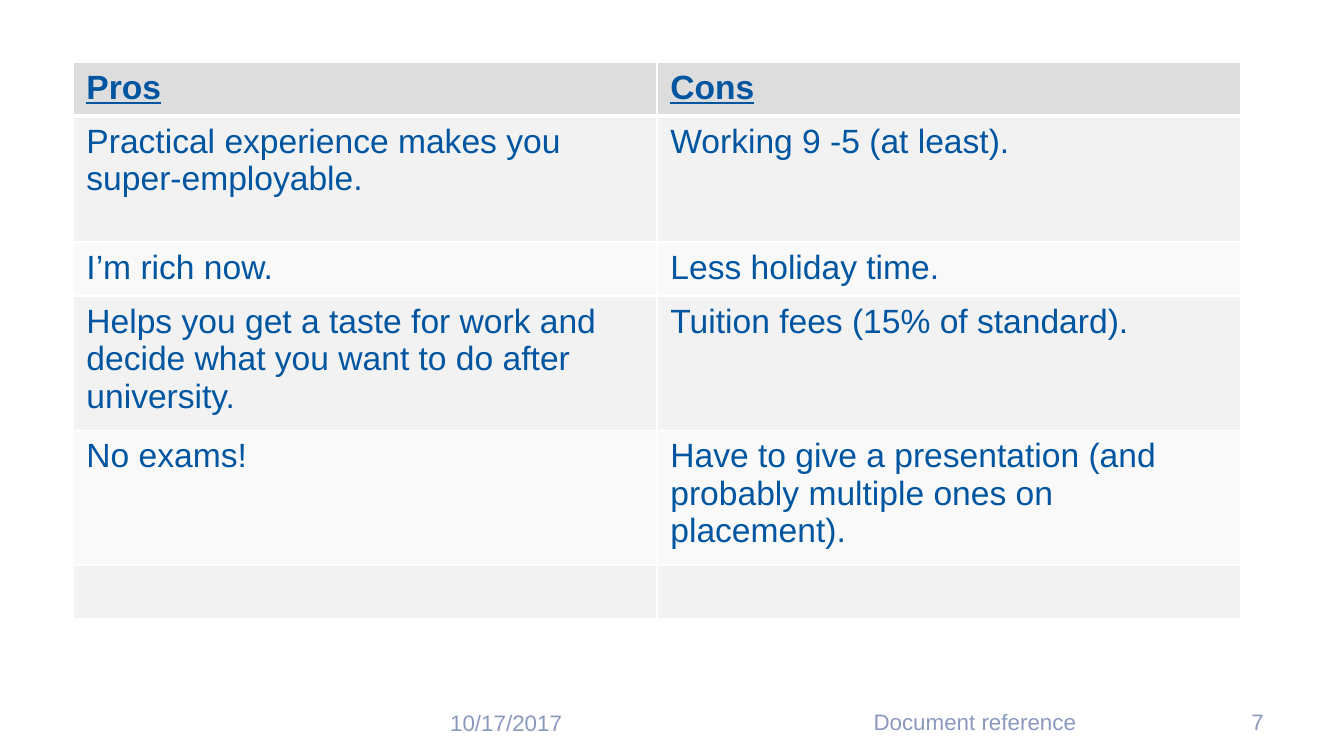
from lxml import etree
from pptx import Presentation
from pptx.dml.color import RGBColor
from pptx.enum.text import MSO_ANCHOR, PP_ALIGN
from pptx.oxml.ns import qn
from pptx.util import Emu, Pt

EMU_PER_PX = 6804
FONT = "Arial"
BLUE = RGBColor(0x00, 0x55, 0xA0)
MUTED_BLUE = RGBColor(0x8C, 0x99, 0xBE)
HEADER_GRAY = RGBColor(0xDD, 0xDD, 0xDD)
BAND_GRAYS = (RGBColor(0xF9, 0xF9, 0xF9), RGBColor(0xF2, 0xF2, 0xF2))
WHITE = RGBColor(0xFF, 0xFF, 0xFF)
LEFT, CENTER, RIGHT = PP_ALIGN.LEFT, PP_ALIGN.CENTER, PP_ALIGN.RIGHT
MIDDLE = MSO_ANCHOR.MIDDLE

ROW_HEIGHTS = (54, 126, 54, 127, 126, 54)
ROWS = (
    ("Pros", "Cons"),
    ("Practical experience makes you super-employable.", "Working 9 -5 (at least)."),
    ("I’m rich now.", "Less holiday time."),
    ("Helps you get a taste for work and decide what you want to do after university.",
     "Tuition fees (15% of standard)."),
    ("No exams!", "Have to give a presentation (and probably multiple ones on placement)."),
    ("", ""),
)
FOOTERS = (
    ("10/17/2017", (437, 702, 313, 40), LEFT),
    ("Document reference", (762, 701, 426, 40), CENTER),
    ("7", (1203, 701, 74, 40), RIGHT),
)


def px(length):
    """Convert pixels to EMU."""
    return Emu(length * EMU_PER_PX)


def add_run(paragraph, text, size, color, heading=False):
    """Add a run, bold and underlined when it is a heading."""
    run = paragraph.add_run()
    run.text = text
    font = run.font
    font.name = FONT
    font.size = Pt(size)
    font.color.rgb = color
    font.bold = heading
    font.underline = heading


def add_footer(slide, text, box, alignment):
    """Add one footer text box."""
    frame = slide.shapes.add_textbox(*map(px, box)).text_frame
    frame.word_wrap = True
    frame.vertical_anchor = MIDDLE
    paragraph = frame.paragraphs[0]
    paragraph.alignment = alignment
    add_run(paragraph, text, 12, MUTED_BLUE)


def add_border(cell, side, width):
    """Draw a white border on one side of a cell."""
    properties = cell._tc.get_or_add_tcPr()
    line = etree.SubElement(properties, qn(f"a:ln{side}"), w=str(Pt(width)))
    fill = etree.SubElement(line, qn("a:solidFill"))
    etree.SubElement(fill, qn("a:srgbClr"), val=str(WHITE))


def style_cell(cell, row_index):
    """Give a cell its borders and fill."""
    top = 3 if row_index == 1 else 1
    bottom = 3 if row_index == 0 else 1
    for side, width in (("L", 1), ("R", 1), ("T", top), ("B", bottom)):
        add_border(cell, side, width)
    cell.fill.solid()
    cell.fill.fore_color.rgb = BAND_GRAYS[row_index % 2] if row_index else HEADER_GRAY


def add_comparison_table(slide):
    """Add the table of pros and cons."""
    box = map(px, (73, 62, 1168, sum(ROW_HEIGHTS)))
    table = slide.shapes.add_table(len(ROWS), len(ROWS[0]), *box).table
    table.first_row = False
    table.horz_banding = False
    for row_index, (texts, height) in enumerate(zip(ROWS, ROW_HEIGHTS)):
        table.rows[row_index].height = px(height)
        for column_index, text in enumerate(texts):
            cell = table.cell(row_index, column_index)
            style_cell(cell, row_index)
            if text:
                add_run(cell.text_frame.paragraphs[0], text, 18, BLUE, row_index == 0)


def main():
    """Build and save the slide."""
    presentation = Presentation()
    presentation.slide_width = px(1344)
    presentation.slide_height = px(756)
    slide = presentation.slides.add_slide(presentation.slide_layouts[6])
    for text, box, alignment in FOOTERS:
        add_footer(slide, text, box, alignment)
    add_comparison_table(slide)
    presentation.save("out.pptx")


if __name__ == "__main__":
    main()
